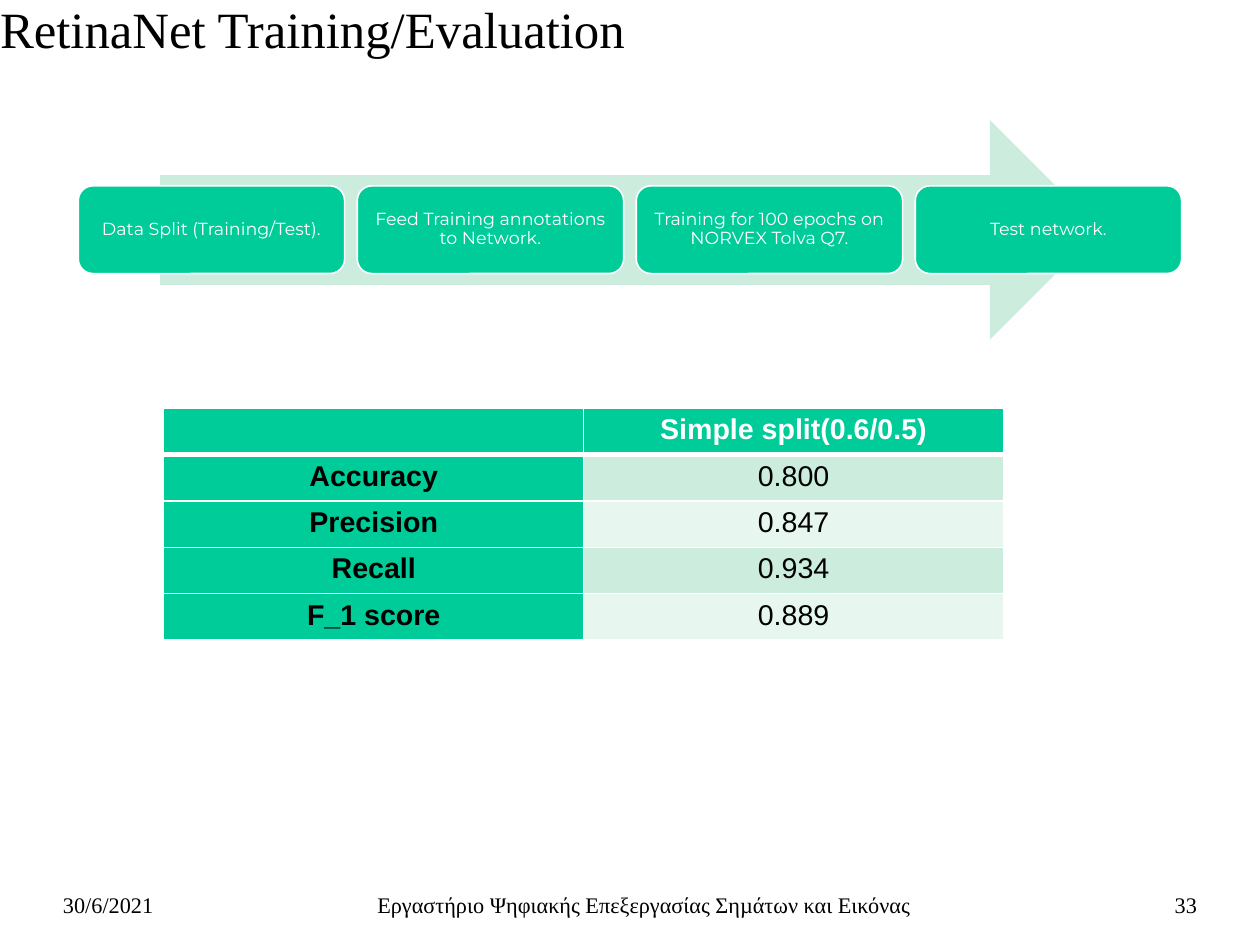
from lxml.etree import SubElement
from pptx import Presentation
from pptx.dml.color import RGBColor
from pptx.enum.shapes import MSO_SHAPE as Preset
from pptx.enum.text import MSO_ANCHOR as Anchor, PP_ALIGN as Align
from pptx.oxml.ns import qn
from pptx.util import Cm, Pt

COLORS = {
    "black": "000000",
    "white": "FFFFFF",
    "green": "00CC99",
    "mint": "CCECDE",
    "pale": "E7F6EF",
}
STEPS = [
    "Data Split (Training/Test).",
    "Feed Training annotations to Network.",
    "Training for 100 epochs on NORVEX Tolva Q7.",
    "Test network.",
]
SCORES = [
    ("", "Simple split(0.6/0.5)"),
    ("Accuracy", "0.800"),
    ("Precision", "0.847"),
    ("Recall", "0.934"),
    ("F_1 score", "0.889"),
]
FOOTERS = [
    ("30/6/2021", 1.4, 6.53, Align.LEFT),
    ("Εργαστήριο Ψηφιακής Επεξεργασίας Σηµάτων και Εικόνας", 8.28, 12.07, Align.CENTER),
    ("33", 20.07, 6.53, Align.RIGHT),
]


def write(frame, text, font, size, color, align=Align.LEFT, spacing=None, inset=0.0):
    """Fill a text frame with one formatted paragraph and equal insets."""
    frame.text = text
    frame.word_wrap = True
    frame.margin_left = frame.margin_right = Cm(inset)
    frame.margin_top = frame.margin_bottom = Cm(inset)
    paragraph = frame.paragraphs[0]
    paragraph.alignment = align
    paragraph.line_spacing = spacing
    for run in paragraph.runs:
        run.font.name = font
        run.font.size = Pt(size)
        run.font.color.rgb = RGBColor.from_string(COLORS[color])


def add_borders(cell, widths):
    """Draw white cell borders; widths maps a:lnX tags to points."""
    properties = cell._tc.get_or_add_tcPr()
    for index, (tag, width) in enumerate(widths.items()):
        line = SubElement(properties, qn(tag), w=str(Pt(width)))
        fill = SubElement(line, qn("a:solidFill"))
        SubElement(fill, qn("a:srgbClr"), val=COLORS["white"])
        properties.insert(index, line)


deck = Presentation()
deck.slide_width, deck.slide_height = Cm(28), Cm(21)
slide = deck.slides.add_slide(deck.slide_layouts[5])
shapes = slide.shapes

# Title
title = shapes.title
title.left, title.top, title.width, title.height = Cm(0), Cm(0), Cm(28), Cm(1.9)
write(title.text_frame, "RetinaNet Training/Evaluation", "Times New Roman", 32, "black", spacing=0.93)
title.text_frame.margin_top = Cm(0.08)
title.text_frame.vertical_anchor = Anchor.TOP

# Footer
for text, left, width, align in FOOTERS:
    footer = shapes.add_textbox(Cm(left), Cm(19.85), Cm(width), Cm(0.76))
    write(footer.text_frame, text, "Times New Roman", 14, "black", align, 0.93)

# Process arrow with its steps
arrow = shapes.add_shape(Preset.RIGHT_ARROW, Cm(3.56), Cm(2.67), Cm(20.88), Cm(4.88))
arrow.shadow.inherit = False
arrow.fill.solid()
arrow.fill.fore_color.rgb = RGBColor.from_string(COLORS["mint"])
arrow.line.fill.background()

for index, text in enumerate(STEPS):
    step = shapes.add_shape(
        Preset.ROUNDED_RECTANGLE, Cm(1.74 + index * 6.2), Cm(4.13), Cm(5.92), Cm(1.95)
    )
    step.shadow.inherit = False
    step.fill.solid()
    step.fill.fore_color.rgb = RGBColor.from_string(COLORS["green"])
    step.line.color.rgb = RGBColor.from_string(COLORS["white"])
    step.line.width = Pt(1)
    write(step.text_frame, text, "Montserrat", 11, "white", Align.CENTER, 0.9, 0.13)
    step.text_frame.vertical_anchor = Anchor.MIDDLE

# Score table
scores = shapes.add_table(
    len(SCORES), 2, Cm(3.64), Cm(9.07), Cm(18.66), Cm(5.15)
).table
for row, texts in enumerate(SCORES):
    for column, text in enumerate(texts):
        cell = scores.cell(row, column)
        heading = row == 0 or column == 0
        write(cell.text_frame, text, "Arial", 18, "black" if row else "white", Align.CENTER)
        for run in cell.text_frame.paragraphs[0].runs:
            run.font.bold = heading
        cell.fill.solid()
        shade = "green" if heading else "mint" if row % 2 else "pale"
        cell.fill.fore_color.rgb = RGBColor.from_string(COLORS[shade])
        add_borders(cell, {
            "a:lnL": 1,
            "a:lnR": 1,
            "a:lnT": 3 if row == 1 else 1,
            "a:lnB": 3 if row == 0 else 1,
        })

deck.save("out.pptx")
